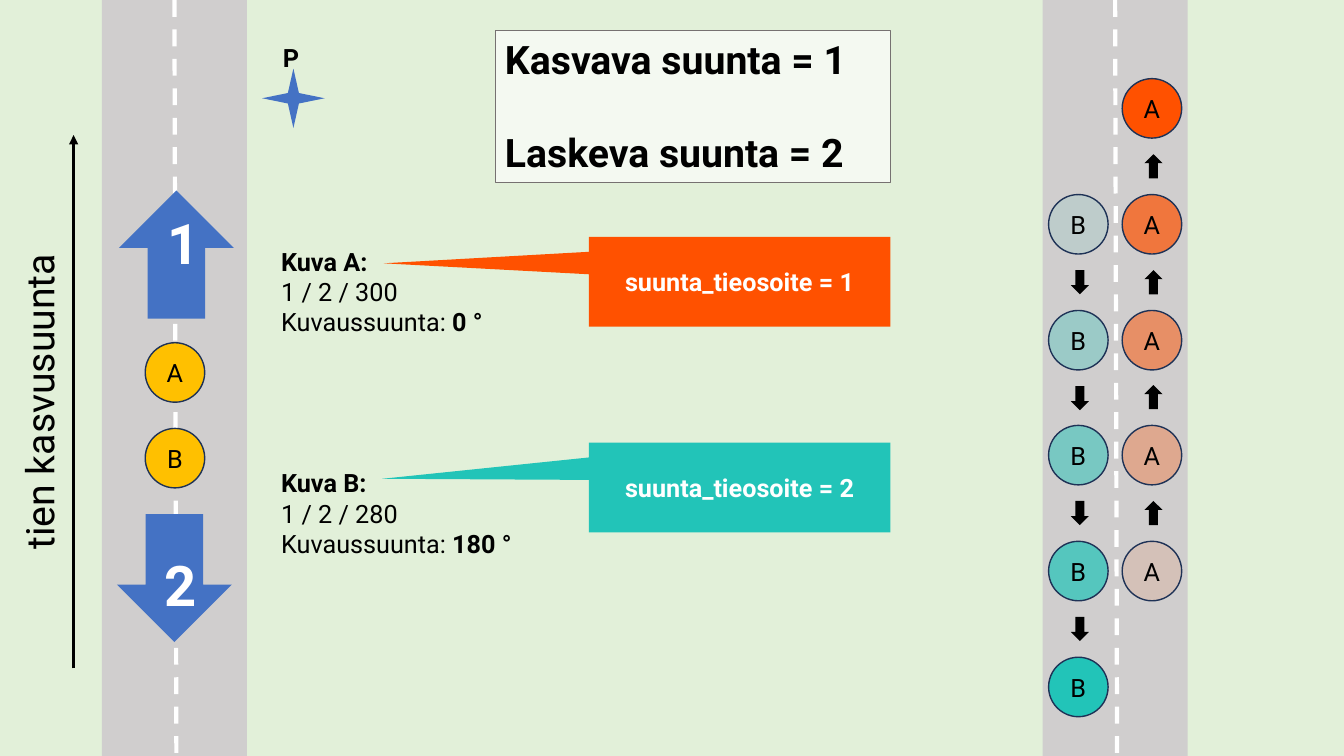
from lxml import etree
from pptx import Presentation
from pptx import util as u
from pptx.dml.color import RGBColor
from pptx.enum import dml, shapes, text
from pptx.oxml.ns import qn

PX = 9144
rgb = RGBColor.from_string
kinds = shapes.MSO_SHAPE
left, mid = text.PP_ALIGN.LEFT, text.PP_ALIGN.CENTER
BLUE, RED, TEAL, GOLD = "4472C4", "FF5100", "22C4B8", "FFC000"
BLACK, WHITE, GREY, NAVY = "000000", "FFFFFF", "D0CECE", "1E3256"

deck = Presentation()
deck.slide_width, deck.slide_height = 1333 * PX, 750 * PX
slide = deck.slides.add_slide(deck.slide_layouts[6])
slide.background.fill.solid()
slide.background.fill.fore_color.rgb = rgb("E2F0D9")


def draw(kind, box, fill, line=None, width=1, alpha=100):
    shape = slide.shapes.add_shape(kind, *[n * PX for n in box])
    shape.shadow.inherit = False
    shape.fill.solid()
    shape.fill.fore_color.rgb = rgb(fill)
    if alpha < 100:
        color = shape.fill._xPr.find(qn("a:solidFill"))[0]
        etree.SubElement(color, qn("a:alpha"), val=str(alpha * 1000))
    if line:
        shape.line.color.rgb = rgb(line)
        shape.line.width = u.Pt(width)
    else:
        shape.line.fill.background()
    return shape


def write(shape, rows, size=18, color=BLACK, align=mid, anchor=text.MSO_ANCHOR.MIDDLE):
    frame = shape.text_frame
    frame.word_wrap = True
    frame.vertical_anchor = anchor
    for i, row in enumerate(rows):
        para = frame.paragraphs[0] if i == 0 else frame.add_paragraph()
        para.alignment = align
        para.font.name = "Roboto"
        para.font.size = u.Pt(size)
        para.font.color.rgb = rgb(color)
        for words, bold in row:
            run = para.add_run()
            run.text = words
            run.font.bold = bold


for x in (101, 1034):
    draw(kinds.RECTANGLE, (x, 0, 144, 766), GREY)

lines = [
    (173, 0, 175, 772, WHITE, 3),
    (1106, 0, 1108, 772, WHITE, 3),
    (73, 663, 73, 134, BLACK, 2.25),
]
for *ends, color, width in lines:
    line = slide.shapes.add_connector(shapes.MSO_CONNECTOR.STRAIGHT, *[n * PX for n in ends])
    line.line.color.rgb = rgb(color)
    line.line.width = u.Pt(width)
    if color == WHITE:
        line.line.dash_style = dml.MSO_LINE.DASH
    else:
        etree.SubElement(line.line._get_or_add_ln(), qn("a:tailEnd"), type="triangle")
    etree.SubElement(line._element.spPr, qn("a:effectLst"))

draw(kinds.UP_ARROW, (118, 189, 114, 127), BLUE)
draw(kinds.DOWN_ARROW, (116, 510, 114, 127), BLUE)
draw(kinds.STAR_4_POINT, (260, 68, 62, 59), BLUE)

legend = draw(kinds.RECTANGLE, (491, 30, 392, 151), "F4F9F1", "767171", 0.75)
write(legend, [[("Kasvava suunta = 1", True)], [("Laskeva suunta = 2", True)]],
      28, align=left, anchor=text.MSO_ANCHOR.TOP)
legend.text_frame.paragraphs[1].space_before = u.Pt(33)

notes = [
    ((269, 239, 259, 101), 18, BLACK, left, 0,
     [[("Kuva A:", True)], [("1 / 2 / 300", False)], [("Kuvaussuunta: ", False), ("0 °", True)]]),
    ((269, 459, 259, 101), 18, BLACK, left, 0,
     [[("Kuva B:", True)], [("1 / 2 / 280", False)], [("Kuvaussuunta: ", False), ("180 °", True)]]),
    ((269, 37, 39, 40), 18, BLACK, mid, 0, [[("P", True)]]),
    ((-157, 370, 391, 57), 28, BLACK, mid, 270, [[("tien kasvusuunta", False)]]),
    ((156, 202, 39, 77), 40, WHITE, mid, 0, [[("1", True)]]),
    ((153, 541, 39, 77), 40, WHITE, mid, 0, [[("2", True)]]),
]
for box, size, color, align, turn, rows in notes:
    note = slide.shapes.add_textbox(*[n * PX for n in box])
    note.rotation = turn
    write(note, rows, size, color, align, text.MSO_ANCHOR.TOP)

calls = [
    (235, RED, (-1.181, -0.205), "suunta_tieosoite = 1"),
    (439, TEAL, (-1.185, -0.096), "suunta_tieosoite = 2"),
]
for y, color, tip, label in calls:
    call = draw(kinds.RECTANGULAR_CALLOUT, (584, y, 299, 89), color)
    call.adjustments[0], call.adjustments[1] = tip
    write(call, [[(label, True)]], color=WHITE)

dots = [("A", 144, 340, GOLD, 100), ("B", 144, 425, GOLD, 100)]
fades = [100, 70, 50, 30, 10]
for i, fade in enumerate(fades):
    dots.append(("A", 1113, 78 + round(114.75 * i), RED, fade))
    dots.append(("B", 1040, 78 + round(114.75 * (5 - i)), TEAL, fade))
for name, x, y, color, alpha in dots:
    dot = draw(kinds.OVAL, (x, y, 59, 59), color, NAVY, 1, alpha)
    write(dot, [[(name, False)]])

for i in range(1, 5):
    y = 38 + round(114.75 * i)
    draw(kinds.UP_ARROW, (1135, y, 18, 24), BLACK)
    draw(kinds.DOWN_ARROW, (1062, y + 115, 18, 24), BLACK)

deck.save("out.pptx")
